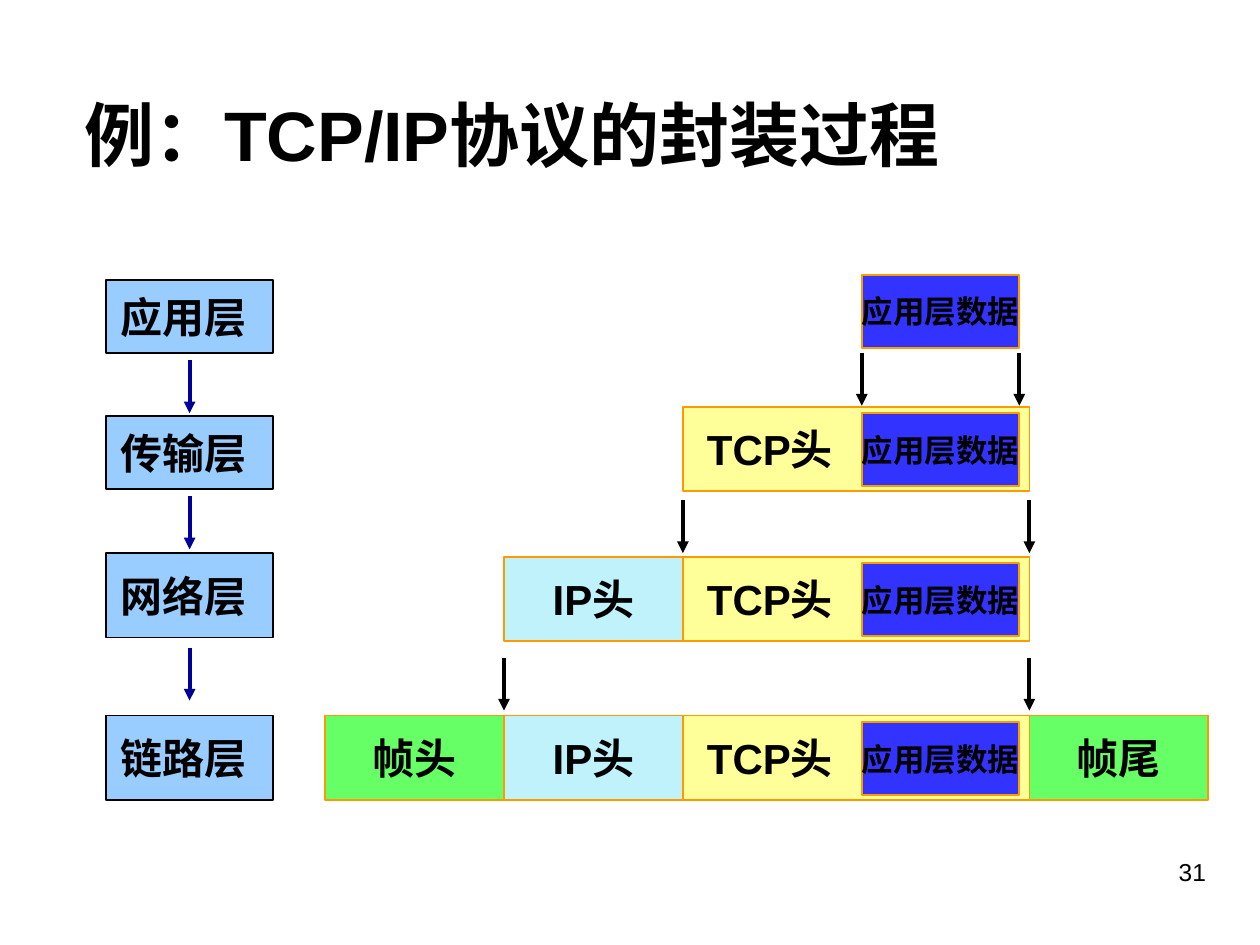
from dataclasses import dataclass

from lxml import etree
from pptx import Presentation
from pptx.dml.color import RGBColor
from pptx.enum.shapes import MSO_CONNECTOR, MSO_SHAPE
from pptx.enum.text import MSO_ANCHOR, MSO_AUTO_SIZE, PP_ALIGN
from pptx.oxml.ns import qn
from pptx.util import Inches, Pt

RECT = MSO_SHAPE.RECTANGLE
STRAIGHT = MSO_CONNECTOR.STRAIGHT
LEFT, CENTER, RIGHT = PP_ALIGN.LEFT, PP_ALIGN.CENTER, PP_ALIGN.RIGHT
TOP, MIDDLE = MSO_ANCHOR.TOP, MSO_ANCHOR.MIDDLE


@dataclass(frozen=True)
class Theme:
    font: str = "Arial"
    text: str = "000000"
    layer: str = "99CCFF"
    data: str = "3333FF"
    tcp: str = "FFFF99"
    ip: str = "C0F2FC"
    frame: str = "66FF66"
    unit_line: str = "FF9900"
    layer_arrow: str = "000099"
    title_size: int = 40
    box_size: int = 24
    data_size: int = 18
    number_size: int = 14
    box_line: float = 1
    arrow_line: float = 2.25


class Deck:
    def __init__(self, slide, theme):
        self.slide = slide
        self.theme = theme

    def format_text(self, tf, text, size, align, bold=True, anchor=MIDDLE, wrap=False):
        tf.text = text
        tf.word_wrap = wrap
        tf.auto_size = MSO_AUTO_SIZE.NONE
        tf.vertical_anchor = anchor
        p = tf.paragraphs[0]
        p.alignment = align
        font = p.runs[0].font
        font.name, font.size, font.bold = self.theme.font, Pt(size), bold
        font.color.rgb = RGBColor.from_string(self.theme.text)

    def title(self, text, x, y, w, h):
        s = self.slide.shapes.title
        s.left, s.top, s.width, s.height = map(Inches, (x, y, w, h))
        self.format_text(s.text_frame, text, self.theme.title_size, LEFT, anchor=TOP)

    def page_number(self, text, x, y, w, h):
        s = self.slide.shapes.add_textbox(*map(Inches, (x, y, w, h)))
        self.format_text(s.text_frame, text, self.theme.number_size, RIGHT,
                         bold=False, anchor=TOP, wrap=True)

    def box(self, text, x, y, w, h, fill, line, size=None, align=CENTER):
        s = self.slide.shapes.add_shape(RECT, *map(Inches, (x, y, w, h)))
        s.shadow.inherit = False
        s.fill.solid()
        s.fill.fore_color.rgb = RGBColor.from_string(fill)
        s.line.color.rgb = RGBColor.from_string(line)
        s.line.width = Pt(self.theme.box_line)
        self.format_text(s.text_frame, text, size or self.theme.box_size, align,
                         wrap=align == LEFT)
        return s

    def layer(self, text, x, y, w, h):
        s = self.box(text, x, y, w, h, self.theme.layer, self.theme.text)
        s.text_frame.margin_right = Inches(0.19)

    def unit(self, text, x, y, w, h, fill):
        self.box(text, x, y, w, h, fill, self.theme.unit_line)

    def data(self, x, y):
        self.box("应用层数据", x, y, 1.25, 0.58, self.theme.data,
                 self.theme.unit_line, self.theme.data_size)

    def segment(self, x, y, w, h, data_x):
        """TCP segment: its header label with the application data inside."""
        s = self.box("TCP头", x, y, w, h, self.theme.tcp, self.theme.unit_line, align=LEFT)
        s.text_frame.margin_left = Inches(0.19)
        self.data(data_x, y + 0.05)

    def down_arrow(self, x, y, color):
        s = self.slide.shapes.add_connector(
            STRAIGHT, Inches(x), Inches(y), Inches(x), Inches(y + 0.42))
        s.line.color.rgb = RGBColor.from_string(color)
        s.line.width = Pt(self.theme.arrow_line)
        etree.SubElement(s.line._get_or_add_ln(), qn("a:tailEnd"), type="triangle")
        etree.SubElement(s._element.spPr, qn("a:effectLst"))


def main():
    prs = Presentation()
    prs.slide_width, prs.slide_height = Inches(10), Inches(7.5)
    theme = Theme()
    deck = Deck(prs.slides.add_slide(prs.slide_layouts[5]), theme)

    deck.title("例：TCP/IP协议的封装过程", 0.57, 0.68, 7.28, 0.77)
    deck.page_number("31", 7.17, 6.75, 2.5, 0.52)

    layer_x, layer_w = 0.84, 1.33
    for name, y, h in (("应用层", 2.22, 0.58), ("传输层", 3.3, 0.58),
                       ("网络层", 4.39, 0.67), ("链路层", 5.68, 0.67)):
        deck.layer(name, layer_x, y, layer_w, h)
    for y in (2.86, 3.94, 5.14):
        deck.down_arrow(layer_x + layer_w / 2, y, theme.layer_arrow)

    # Each header sits directly left of what it encapsulates.
    head_w, unit_h = 1.42, 0.67
    tcp_x, tcp_w = 5.42, 2.75
    data_x, data_end = tcp_x + head_w, 8.09
    ip_x, tcp_end = tcp_x - head_w, tcp_x + tcp_w
    transport_y, network_y, link_y = 3.23, 4.42, 5.68

    deck.data(data_x, 2.18)
    for y in (transport_y, network_y, link_y):
        deck.segment(tcp_x, y, tcp_w, unit_h, data_x)
    for y in (network_y, link_y):
        deck.unit("IP头", ip_x, y, head_w, unit_h, theme.ip)
    for text, x in (("帧头", ip_x - head_w), ("帧尾", tcp_end)):
        deck.unit(text, x, link_y, head_w, unit_h, theme.frame)

    for y, ends in ((2.8, (data_x, data_end)), (3.97, (tcp_x, tcp_end)),
                    (5.22, (ip_x, tcp_end))):
        for x in ends:
            deck.down_arrow(x, y, theme.text)

    prs.save("out.pptx")


if __name__ == "__main__":
    main()
